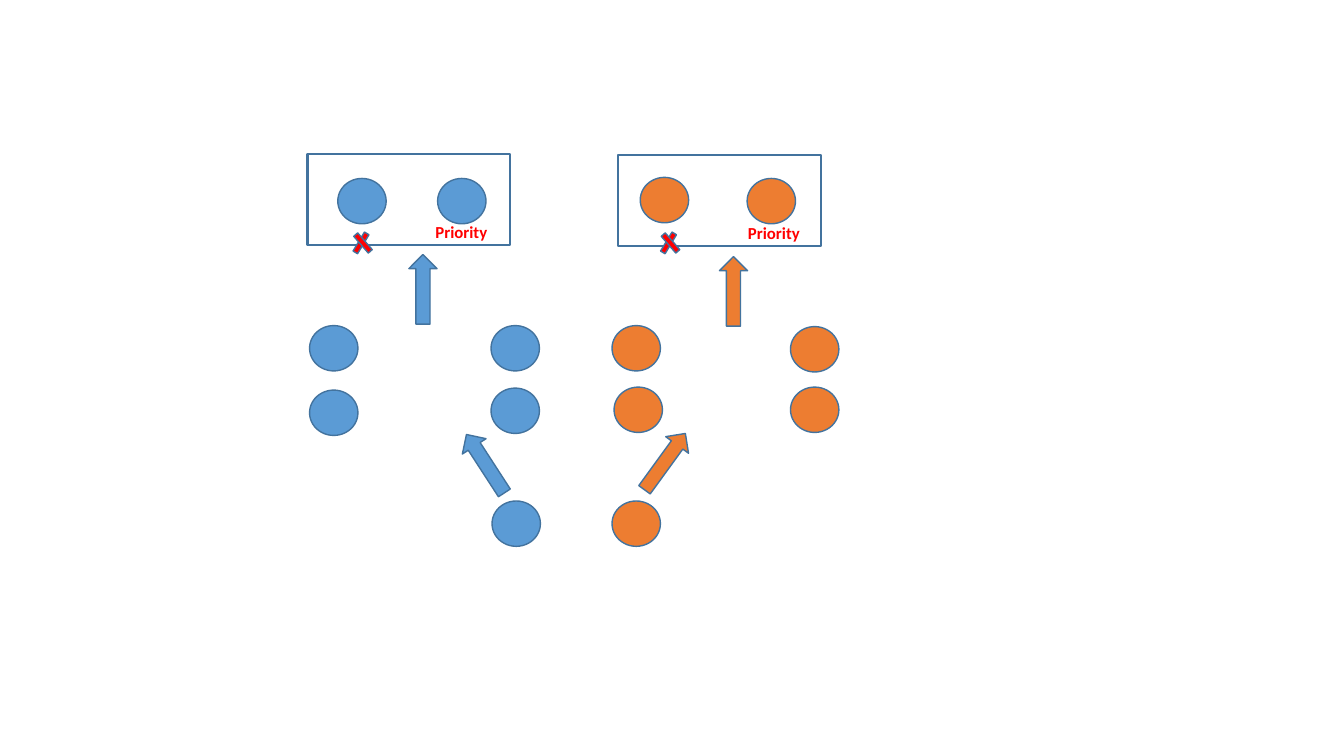
from pptx import Presentation
from pptx import util as u
from pptx.dml.color import RGBColor
from pptx.enum import shapes, text

# Grid: square cells, 75 rows to the slide height
ROWS = 75
HIGH = u.Inches(7.5)
CELL = HIGH / ROWS

BLUE, ORANGE, RED, EDGE = "5B9BD5", "ED7D31", "FF0000", "43739E"
KIND = shapes.MSO_SHAPE
DISK = (4.8, 4.5)
ARROW = (6.9, 2.8)
BAR = (3, 2.2)
FRAME = (20.1, 9)

# Each side: disk corners, slanted arrow with its turn, upright arrow,
# frame, cross and label, all as (column, row)
SIDES = [
    dict(hue=BLUE,
         disks=[(48.8, 49.7), (30.7, 32.3), (48.7, 32.3), (30.7, 38.7),
                (48.7, 38.5), (33.5, 17.7), (43.4, 17.7)],
         slant=(44.7, 44.6), turn=237, rise=(38.5, 27.3),
         frame=(30.5, 15.3), cross=(34.3, 23), label=(42.2, 21.5), span=9.9),
    dict(hue=ORANGE,
         disks=[(60.7, 49.7), (78.4, 32.4), (78.4, 38.4), (60.7, 32.3),
                (60.9, 38.4), (63.5, 17.6), (74.1, 17.7)],
         slant=(62.5, 44.4), turn=306, rise=(69.3, 27.5),
         frame=(61.3, 15.4), cross=(64.8, 23), label=(73.2, 21.6), span=7.2),
]


def grid(*cells):
    return [u.Emu(round(n * CELL)) for n in cells]


def paint(fmt, hue):
    fmt.solid()
    fmt.fore_color.rgb = RGBColor.from_string(hue)


def add_form(slide, kind, spot, size, hue=None, turn=0, edge=1):
    form = slide.shapes.add_shape(kind, *grid(*spot, *size))
    form.shadow.inherit = False
    form.rotation = turn
    if hue:
        paint(form.fill, hue)
    else:
        form.fill.background()
    paint(form.line.fill, EDGE)
    form.line.width = u.Pt(edge)


def add_cross(slide, spot):
    col, row = spot
    for shift, turn in ((0, 121), (0.2, 229)):
        add_form(slide, KIND.MATH_MINUS, (col + shift, row), BAR, RED, turn)


def add_label(slide, words, spot, span):
    box = slide.shapes.add_textbox(*grid(*spot, span, 3))
    frame = box.text_frame
    frame.word_wrap = True
    frame.auto_size = text.MSO_AUTO_SIZE.SHAPE_TO_FIT_TEXT
    line = frame.paragraphs[0]
    line.text = words
    line.font.name = "Calibri"
    line.font.size = u.Pt(12)
    line.font.bold = True
    paint(line.font.fill, RED)


def add_side(slide, side):
    hue = side["hue"]
    # Frame and disks
    add_form(slide, KIND.RECTANGLE, side["frame"], FRAME, edge=1.5)
    for spot in side["disks"]:
        add_form(slide, KIND.OVAL, spot, DISK, hue)
    # Arrows
    add_form(slide, KIND.RIGHT_ARROW, side["slant"], ARROW, hue, side["turn"])
    add_form(slide, KIND.RIGHT_ARROW, side["rise"], ARROW, hue, 270)
    # Marks below the top pair
    add_cross(slide, side["cross"])
    add_label(slide, "Priority", side["label"], side["span"])


def main():
    deck = Presentation()
    deck.slide_width, deck.slide_height = u.Inches(13.33), HIGH
    slide = deck.slides.add_slide(deck.slide_layouts[6])
    for side in SIDES:
        add_side(slide, side)
    deck.save("out.pptx")


if __name__ == "__main__":
    main()
